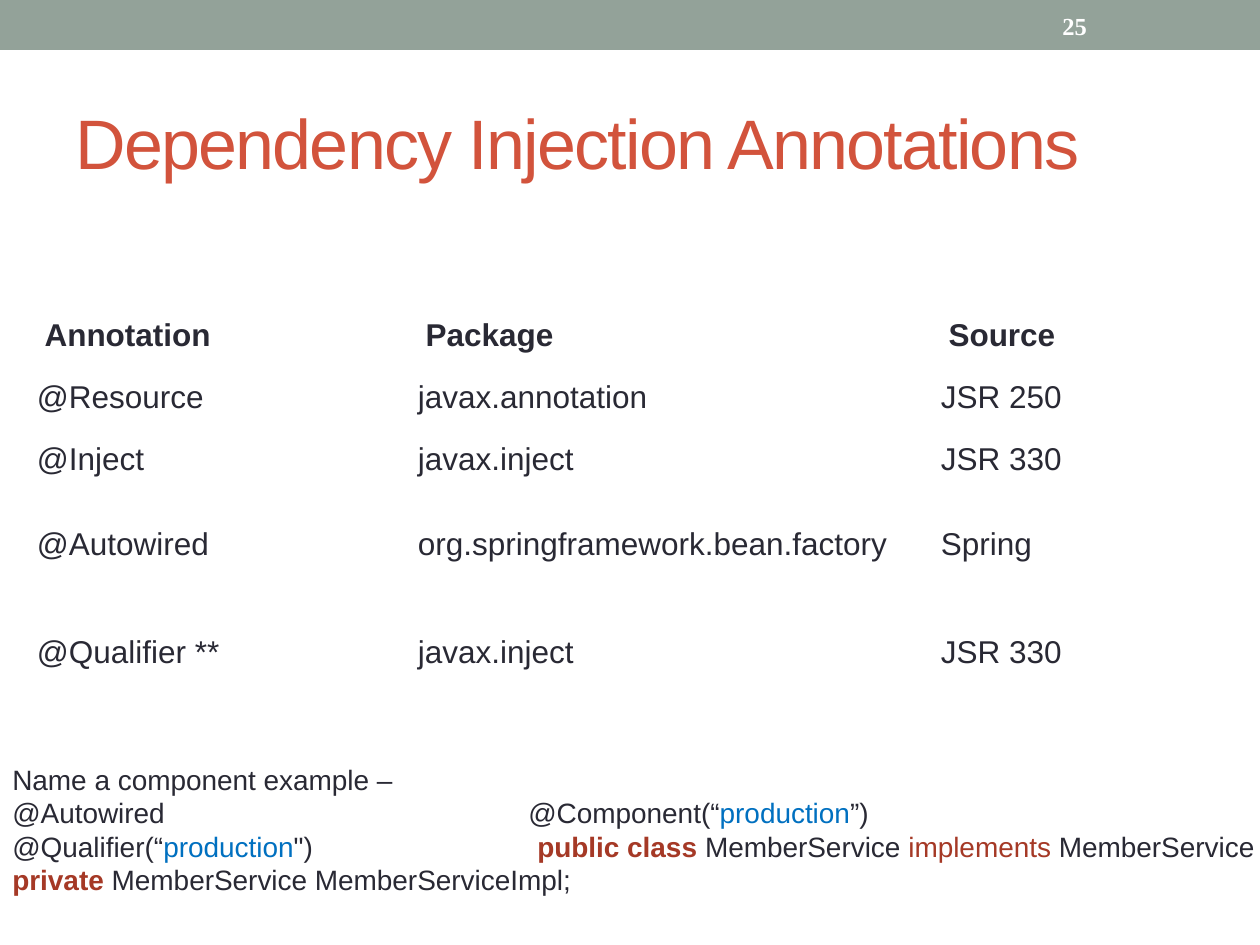
import pptx
import pptx.dml.color
import pptx.enum.shapes
import pptx.enum.text
import pptx.util
import lxml.etree

PIXELS_PER_INCH = 126
INK = "292934"
KEYWORD = "A53926"
LITERAL = "0070C0"
MIDDLE = pptx.enum.text.MSO_ANCHOR.MIDDLE


def emu(pixels):
    return pptx.util.Inches(pixels / PIXELS_PER_INCH)


def color(value):
    return pptx.dml.color.RGBColor.from_string(value)


def write(para, text, size=18, font="Arial", ink=INK, bold=False, spacing=0):
    span = para.add_run()
    span.text = text
    span.font.size = pptx.util.Pt(size)
    span.font.name = font
    span.font.bold = bold
    span.font.color.rgb = color(ink)
    if spacing:
        span.font._element.set("spc", str(spacing * 100))


class Page:
    cell_margins = (5, 6, 13, 6)

    def __init__(self, deck):
        self.slide = deck.slides.add_slide(deck.slide_layouts[6])

    def band(self, left, top, width, height, fill):
        shape = self.slide.shapes.add_shape(
            pptx.enum.shapes.MSO_SHAPE.RECTANGLE,
            emu(left), emu(top), emu(width), emu(height))
        shape.shadow.inherit = False
        shape.fill.solid()
        shape.fill.fore_color.rgb = color(fill)
        shape.line.fill.background()

    def frame(self, left, top, width, height, anchor=MIDDLE):
        box = self.slide.shapes.add_textbox(
            emu(left), emu(top), emu(width), emu(height))
        box.text_frame.word_wrap = True
        box.text_frame.vertical_anchor = anchor
        return box.text_frame

    def label(self, left, top, width, height, text, **style):
        write(self.frame(left, top, width, height).paragraphs[0], text, **style)

    def code(self, left, top, width, height, lines):
        frame = self.frame(left, top, width, height, pptx.enum.text.MSO_ANCHOR.TOP)
        for index, (tab, spans) in enumerate(lines):
            para = frame.paragraphs[0] if index == 0 else frame.add_paragraph()
            if tab:
                namespace = pptx.oxml.ns.qn
                stops = lxml.etree.SubElement(
                    para._p.get_or_add_pPr(), namespace("a:tabLst"))
                lxml.etree.SubElement(
                    stops, namespace("a:tab"), pos=str(emu(tab)), algn="l")
            for text, style in spans:
                write(para, text, size=16, **style)

    def table(self, left, top, widths, heights, rows):
        table = self.slide.shapes.add_table(
            len(heights), len(widths), emu(left), emu(top),
            emu(sum(widths)), emu(sum(heights))).table
        table.first_row = False
        table.horz_banding = False
        for column, width in zip(table.columns, widths):
            column.width = emu(width)
        for index, (height, texts) in enumerate(zip(heights, rows)):
            table.rows[index].height = emu(height)
            for cell, text in zip(table.rows[index].cells, texts):
                cell.fill.background()
                cell.vertical_anchor = MIDDLE
                if index:
                    (cell.margin_left, cell.margin_top, cell.margin_right,
                     cell.margin_bottom) = map(emu, self.cell_margins)
                write(cell.text_frame.paragraphs[0], text, bold=index == 0)


def main():
    deck = pptx.Presentation()
    deck.slide_width, deck.slide_height = emu(1260), emu(945)
    page = Page(deck)
    page.band(0, 0, 1260, 50, "93A299")
    page.label(63, 73, 1134, 136, "Dependency Injection Annotations",
               size=40, ink="D2533C", spacing=-1)
    page.table(32, 305, [381, 523, 240], [62, 62, 62, 108, 108], [
        ("Annotation", "Package", "Source"),
        ("@Resource", "javax.annotation", "JSR 250"),
        ("@Inject", "javax.inject", "JSR 330"),
        ("@Autowired", "org.springframework.bean.factory", "Spring"),
        ("@Qualifier **", "javax.inject", "JSR 330"),
    ])
    plain, literal = {}, {"ink": LITERAL}
    keyword = {"ink": KEYWORD, "bold": True}
    page.code(0, 756, 1313, 149, [
        (0, [("Name a component example –", plain)]),
        (516, [("@Autowired\t@Component(“", plain), ("production", literal),
               ("”)", plain)]),
        (525, [("@Qualifier(“", plain), ("production", literal), ("\")\t", plain),
               ("public class ", keyword), ("MemberService ", plain),
               ("implements ", {"ink": KEYWORD}), ("MemberService", plain)]),
        (0, [("private ", keyword), ("MemberService MemberServiceImpl;", plain)]),
    ])
    page.label(1050, 3, 147, 45, "25", size=14, font="Times New Roman",
               ink="FFFFFF", bold=True)
    deck.save("out.pptx")


if __name__ == "__main__":
    main()
